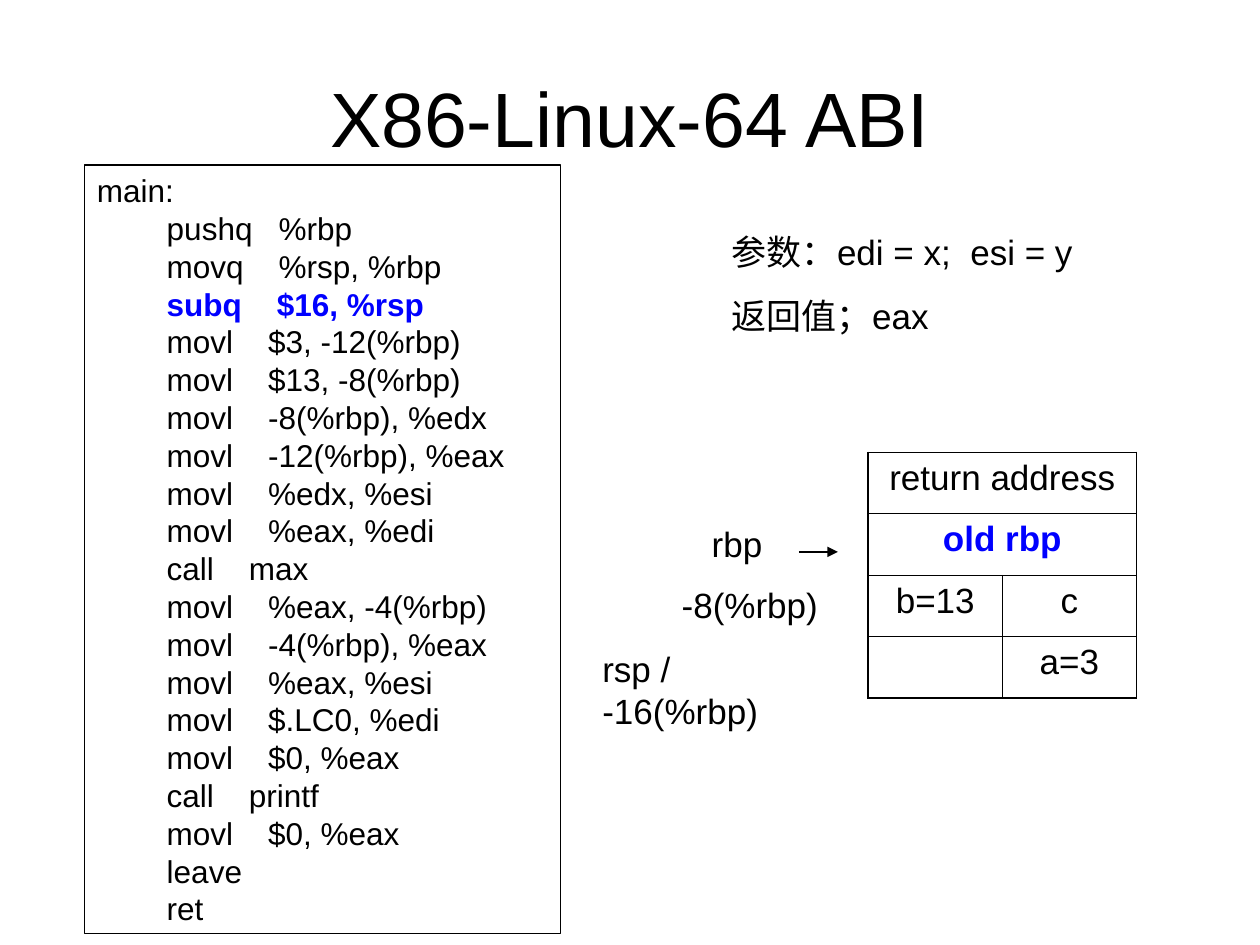
from dataclasses import dataclass

from lxml.etree import SubElement
from pptx import Presentation
from pptx.dml.color import RGBColor
from pptx.enum.shapes import MSO_CONNECTOR, MSO_SHAPE
from pptx.enum.text import MSO_ANCHOR, PP_ALIGN
from pptx.oxml.ns import qn
from pptx.util import Emu, Pt

PX = 9144

CODE = """main:
        pushq   %rbp
        movq    %rsp, %rbp
        subq    $16, %rsp
        movl    $3, -12(%rbp)
        movl    $13, -8(%rbp)
        movl    -8(%rbp), %edx
        movl    -12(%rbp), %eax
        movl    %edx, %esi
        movl    %eax, %edi
        call    max
        movl    %eax, -4(%rbp)
        movl    -4(%rbp), %eax
        movl    %eax, %esi
        movl    $.LC0, %edi
        movl    $0, %eax
        call    printf
        movl    $0, %eax
        leave
        ret"""


@dataclass(frozen=True)
class Theme:
    font: str = "Arial"
    ink: str = "000000"
    accent: str = "0000FF"
    title: int = 44
    body: int = 20
    code: int = 18
    leading: float = 1.2
    gap: float = 12.5
    rule: float = 0.75
    frame: float = 1.08
    grid: float = 0.45


def px(*lengths):
    return [Emu(length * PX) for length in lengths]


class SlideBuilder:
    def __init__(self, slide, theme):
        self.slide = slide
        self.theme = theme

    def style(self, paragraph, size, strong=False, align=PP_ALIGN.LEFT):
        paragraph.alignment = align
        for run in paragraph.runs:
            run.font.name = self.theme.font
            run.font.size = Pt(size)
            run.font.bold = strong
            color = self.theme.accent if strong else self.theme.ink
            run.font.color.rgb = RGBColor.from_string(color)

    def fill_text(self, frame, text, size, insets=(10, 5, 10, 5), gap=0,
                  strong=(), align=PP_ALIGN.LEFT, anchor=MSO_ANCHOR.TOP):
        frame.word_wrap = True
        frame.vertical_anchor = anchor
        (frame.margin_left, frame.margin_top,
         frame.margin_right, frame.margin_bottom) = px(*insets)
        frame.text = text
        for index, paragraph in enumerate(frame.paragraphs):
            paragraph.line_spacing = Pt(size * self.theme.leading)
            if index and gap:
                paragraph.space_before = Pt(gap)
            self.style(paragraph, size, index in strong, align)

    def text(self, box, text, size, **options):
        label = self.slide.shapes.add_textbox(*px(*box))
        self.fill_text(label.text_frame, text, size, **options)

    def code(self, box, text, strong):
        listing = self.slide.shapes.add_shape(MSO_SHAPE.RECTANGLE, *px(*box))
        listing.shadow.inherit = False
        listing.fill.background()
        listing.line.color.rgb = RGBColor.from_string(self.theme.ink)
        listing.line.width = Pt(self.theme.rule)
        self.fill_text(listing.text_frame, text, self.theme.code, strong=strong)

    def arrow(self, start, end):
        pointer = self.slide.shapes.add_connector(
            MSO_CONNECTOR.STRAIGHT, *px(*start, *end))
        pointer.line.color.rgb = RGBColor.from_string(self.theme.ink)
        pointer.line.width = Pt(self.theme.rule)
        SubElement(pointer.line._get_or_add_ln(), qn("a:tailEnd"), type="triangle")
        SubElement(pointer._element.spPr, qn("a:effectLst"))

    def border(self, cell, side, outer):
        width = self.theme.frame if outer else self.theme.grid
        edge = SubElement(cell._tc.get_or_add_tcPr(), qn(f"a:ln{side}"),
                          w=str(int(Pt(width))))
        solid = SubElement(edge, qn("a:solidFill"))
        SubElement(solid, qn("a:srgbClr"), val=self.theme.ink)

    def table(self, box, rows, strong):
        columns = max(len(row) for row in rows)
        stack = self.slide.shapes.add_table(len(rows), columns, *px(*box)).table
        stack.first_row = stack.horz_banding = False
        for r, row in enumerate(rows):
            if len(row) == 1:
                stack.cell(r, 0).merge(stack.cell(r, columns - 1))
            for c, value in enumerate(row):
                cell = stack.cell(r, c)
                cell.text_frame.text = value
                self.style(cell.text_frame.paragraphs[0], self.theme.body,
                           value == strong, PP_ALIGN.CENTER)
                self.border(cell, "L", c == 0)
                self.border(cell, "R", c == len(row) - 1)
                self.border(cell, "T", r == 0)
                self.border(cell, "B", r == len(rows) - 1)
            for c in range(columns):
                stack.cell(r, c).fill.background()


def main():
    deck = Presentation()
    deck.slide_width, deck.slide_height = px(1000, 750)
    theme = Theme()
    builder = SlideBuilder(deck.slides.add_slide(deck.slide_layouts[6]), theme)

    builder.text((50, 30, 900, 125), "X86-Linux-64 ABI", theme.title,
                 align=PP_ALIGN.CENTER, anchor=MSO_ANCHOR.MIDDLE)
    builder.code((67, 131, 378, 610), CODE, strong=(3,))

    stack_labels = [
        ((555, 414, 94, 36), "rbp", (10, 1, 10, 1)),
        ((539, 462, 126, 36), "-8(%rbp)", (2, 1, 2, 1)),
        ((476, 513, 189, 69), "rsp / -16(%rbp)", (2, 1, 6, 1)),
    ]
    for box, label, insets in stack_labels:
        builder.text(box, label, theme.body, insets=insets)
    builder.arrow((634, 438), (665, 438))

    builder.text((571, 178, 307, 94), "参数：edi = x;  esi = y\n返回值；eax",
                 theme.body, gap=theme.gap)
    builder.table((689, 359, 213, 195),
                  [["return address"], ["old rbp"], ["b=13", "c"], ["", "a=3"]],
                  strong="old rbp")
    deck.save("out.pptx")


if __name__ == "__main__":
    main()
